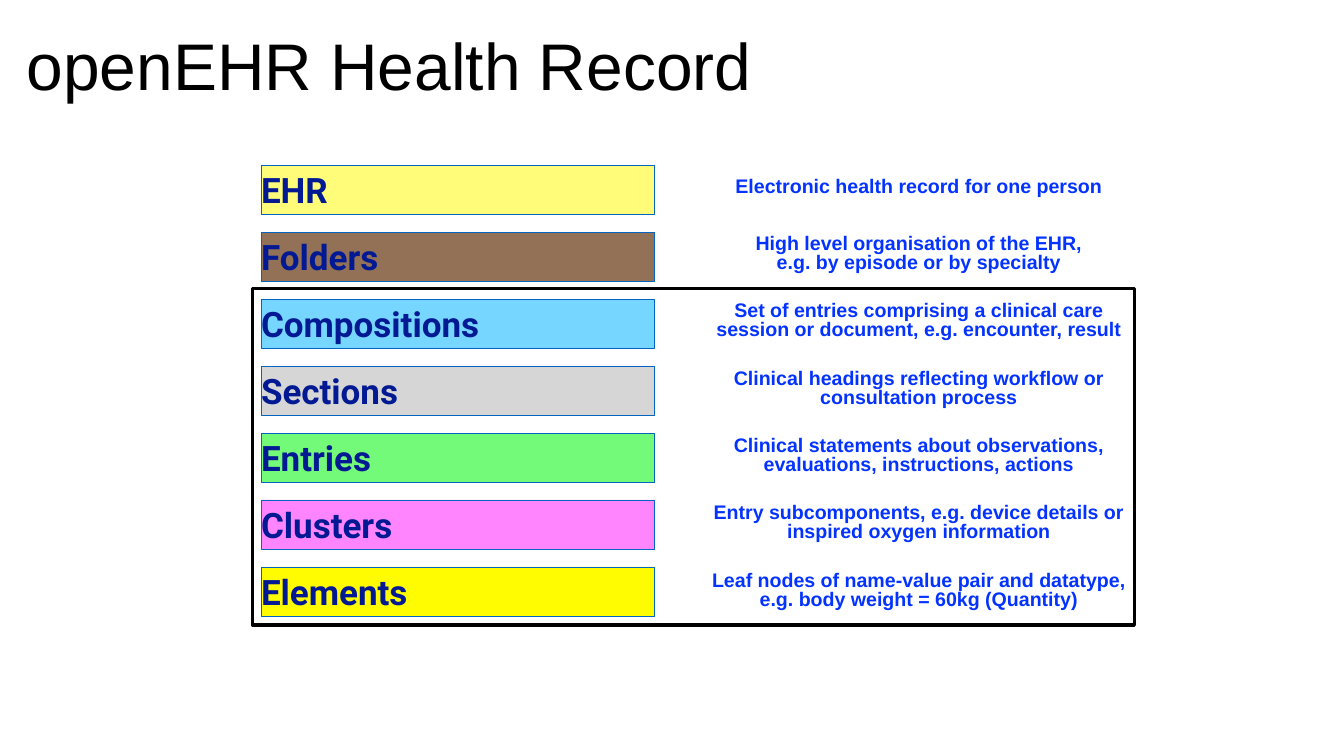
from dataclasses import dataclass

from pptx import Presentation
from pptx.dml.color import RGBColor
from pptx.enum.shapes import MSO_SHAPE
from pptx.enum.text import MSO_ANCHOR, PP_ALIGN
from pptx.util import Inches, Pt


@dataclass(frozen=True)
class Theme:
    title_color: str = "000000"
    level_color: str = "011993"
    level_border: str = "0365C0"
    description_color: str = "0433FF"
    frame_color: str = "000000"
    body_font: str = "Arial"
    level_font: str = "Roboto"
    title_size: float = 94.1
    level_size: float = 50
    description_size: float = 28


theme = Theme()

# Level name, fill colour, lines of the description
levels = [
    ("EHR", "FFFC79", ["Electronic health record for one person"]),
    ("Folders", "937157", ["High level organisation of the EHR,", "e.g. by episode or by specialty"]),
    ("Compositions", "76D6FF",
     ["Set of entries comprising a clinical care session or document, e.g. encounter, result"]),
    ("Sections", "D6D6D6", ["Clinical headings reflecting workflow or consultation process"]),
    ("Entries", "73FA79", ["Clinical statements about observations, evaluations, instructions, actions"]),
    ("Clusters", "FF85FF", ["Entry subcomponents, e.g. device details or inspired oxygen information"]),
    ("Elements", "FFFB00",
     ["Leaf nodes of name-value pair and datatype, e.g. body weight = 60kg (Quantity)"]),
]


def write_text(shape, lines, font, size, color, bold=True, align=PP_ALIGN.LEFT, margin=0.06, spacing=1.0):
    """Fill a shape with one vertically centred paragraph per line."""
    frame = shape.text_frame
    frame.word_wrap = True
    frame.vertical_anchor = MSO_ANCHOR.MIDDLE
    frame.margin_left = frame.margin_right = Inches(margin)
    frame.margin_top = frame.margin_bottom = Inches(margin)
    for index, line in enumerate(lines):
        paragraph = frame.add_paragraph() if index else frame.paragraphs[0]
        paragraph.alignment = align
        paragraph.line_spacing = spacing
        run = paragraph.add_run()
        run.text = line
        run.font.name = font
        run.font.size = Pt(size)
        run.font.bold = bold
        run.font.color.rgb = RGBColor.from_string(color)


def add_rectangle(left, top, width, height, line_color, line_width):
    shape = slide.shapes.add_shape(
        MSO_SHAPE.RECTANGLE, Inches(left), Inches(top), Inches(width), Inches(height))
    shape.shadow.inherit = False
    shape.line.color.rgb = RGBColor.from_string(line_color)
    shape.line.width = Pt(line_width)
    return shape


presentation = Presentation()
presentation.slide_width = Inches(26.67)
presentation.slide_height = Inches(15)
slide = presentation.slides.add_slide(presentation.slide_layouts[6])

title = slide.shapes.add_textbox(Inches(0.47), Inches(0.43), Inches(20.75), Inches(1.69))
write_text(title, ["openEHR Health Record"], theme.body_font, theme.title_size, theme.title_color, bold=False)

for row, (name, fill, description) in enumerate(levels):
    bar = add_rectangle(5.18, 3.28 + row * 1.328, 7.81, 0.97, theme.level_border, 0.25)
    bar.fill.solid()
    bar.fill.fore_color.rgb = RGBColor.from_string(fill)
    write_text(bar, [name], theme.level_font, theme.level_size, theme.level_color, margin=0)

    # The first description is a single line in a lower box
    top, height, spacing = (3.39, 0.57, 1.0) if row == 0 else (3.235 + row * 1.336, 0.95, 0.8)
    note = slide.shapes.add_textbox(Inches(14.03), Inches(top), Inches(8.4), Inches(height))
    write_text(note, description, theme.body_font, theme.description_size, theme.description_color,
               align=PP_ALIGN.CENTER, spacing=spacing)

frame_box = add_rectangle(5.01, 5.72, 17.5, 6.68, theme.frame_color, 5)
frame_box.fill.background()

presentation.save("out.pptx")
